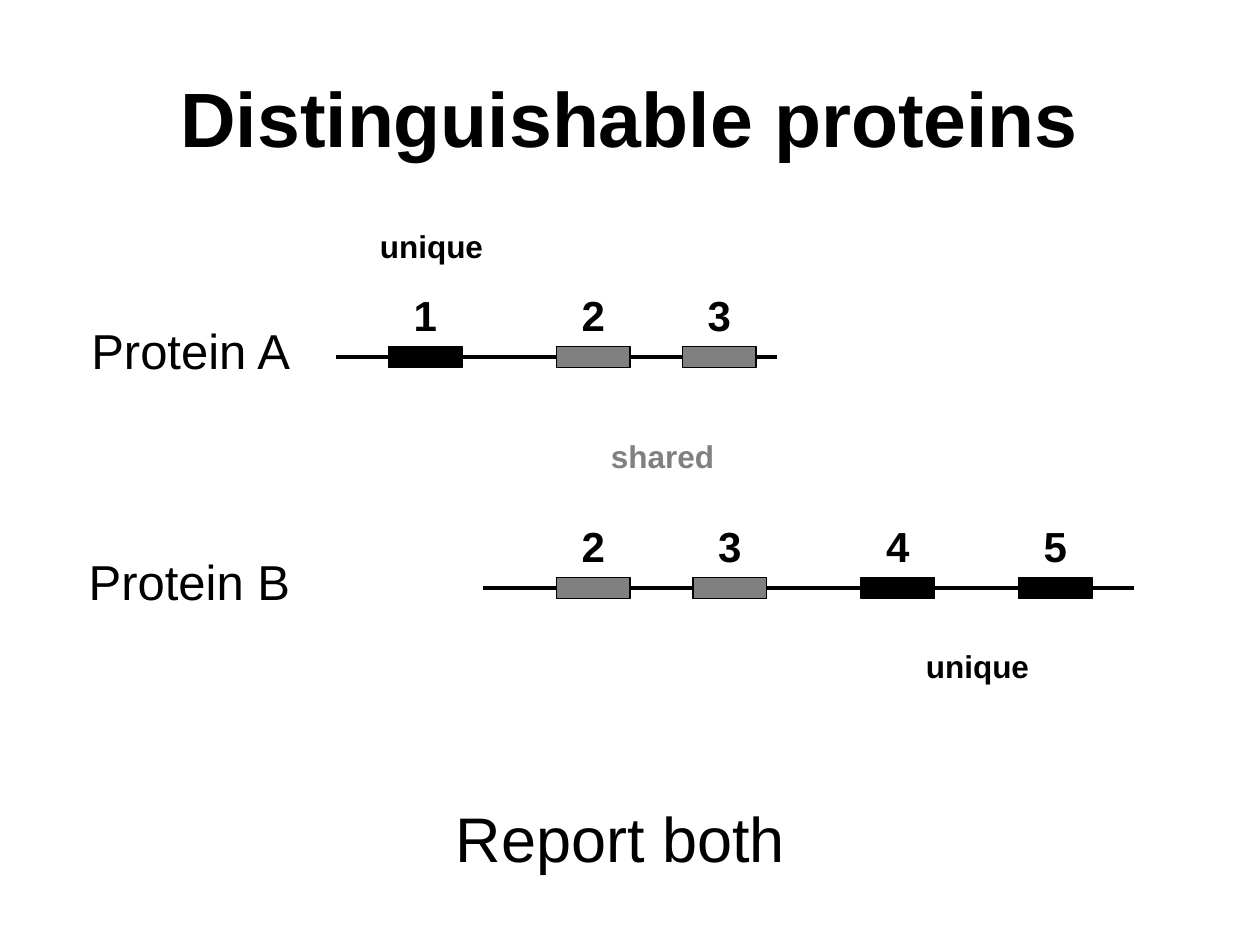
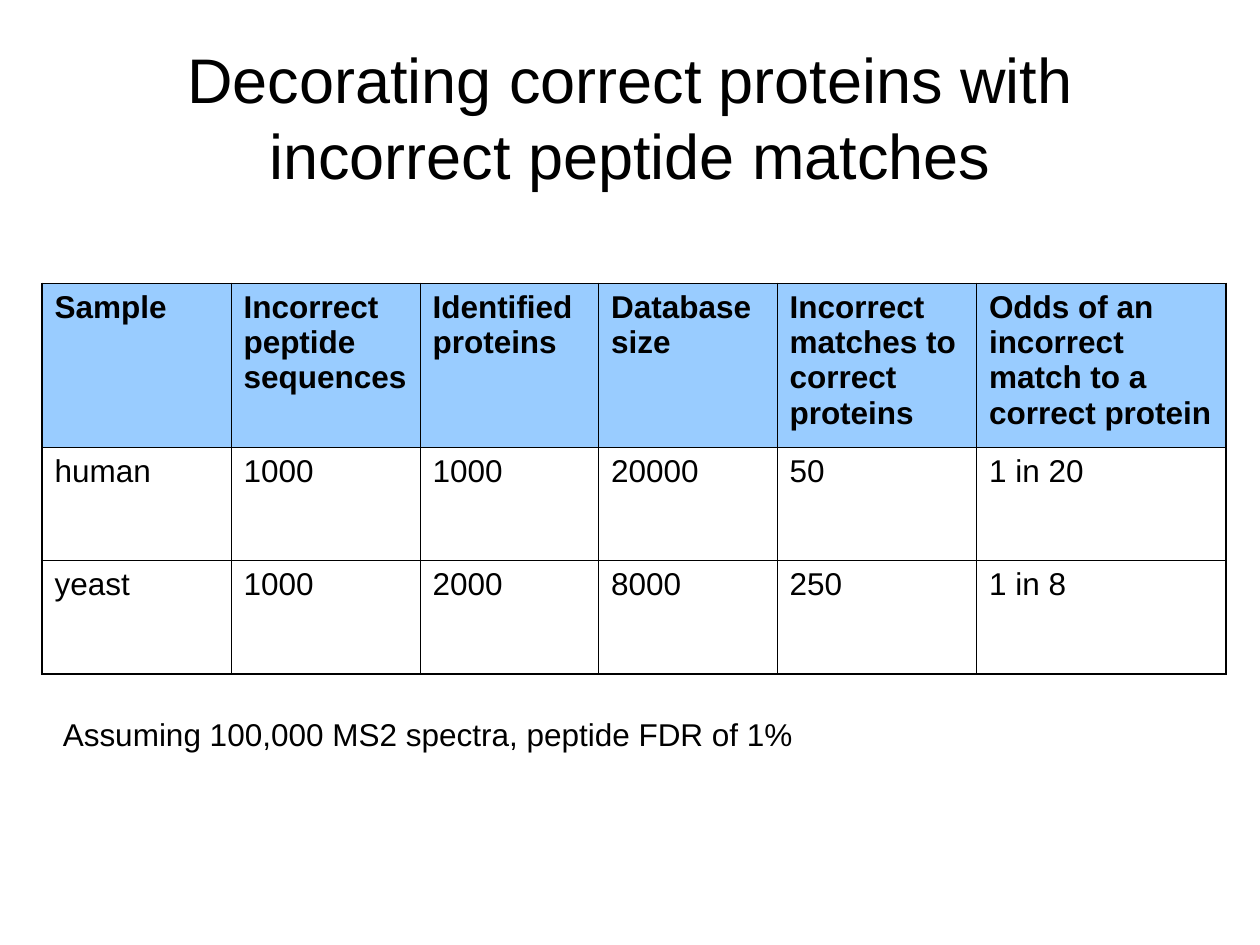
from dataclasses import dataclass
from lxml import etree
from pptx import Presentation, util as u
from pptx.dml.color import RGBColor
from pptx.enum import shapes, text
from pptx.oxml import ns


@dataclass(frozen=True)
class Theme:
    font: str = "Arial"
    ink: str = "000000"
    grey: str = "808080"
    header: str = "99CCFF"
    strong_title: int = 44
    title: int = 36
    label: int = 28
    number: int = 24
    small: int = 18
    axis: float = 2.25
    outline: float = 1
    frame: float = 1.08
    rule: float = 0.45


T = Theme()
ALIGN = text.PP_ALIGN
COLS, ROWS = 120, 90  # grid over the 10 x 7.5 inch slide
BLOCK_W, BLOCK_H = 7, 2


def grid(n):
    return u.Emu(round(n * u.Inches(10) / COLS))


def rgb(value):
    return RGBColor.from_string(value)


def style(p, size, color=T.ink, bold=False):
    for r in p.runs:
        r.font.name = T.font
        r.font.size = u.Pt(size)
        r.font.bold = bold
        r.font.color.rgb = rgb(color)


# Text
def add_text(s, words, box, size, align=ALIGN.CENTER, color=T.ink,
             bold=False, wrap=False):
    tf = s.shapes.add_textbox(*map(grid, box)).text_frame
    tf.word_wrap = wrap
    tf.text = words
    p = tf.paragraphs[0]
    p.alignment = align
    style(p, size, color, bold)
    return tf


def add_title(s, words, size=T.title, bold=False):
    tf = add_text(s, words, (6, 3.6, COLS - 12, 15), size, bold=bold, wrap=True)
    tf.vertical_anchor = text.MSO_ANCHOR.MIDDLE


def add_tag(s, words, col, row, color=T.ink):
    add_text(s, words, (col, row, 12.2, 4.8), T.small, color=color, bold=True)


# Protein: name, sequence line and numbered peptide blocks
def add_sequence(s, start, end, row):
    line = s.shapes.add_connector(shapes.MSO_CONNECTOR.STRAIGHT,
                                  *map(grid, (start, row, end, row)))
    line.line.color.rgb = rgb(T.ink)
    line.line.width = u.Pt(T.axis)
    etree.SubElement(line._element.spPr, ns.qn("a:effectLst"))


def add_peptide(s, number, col, row, color):
    sp = s.shapes.add_shape(shapes.MSO_SHAPE.RECTANGLE,
                            *map(grid, (col, row - BLOCK_H / 2, BLOCK_W, BLOCK_H)))
    sp.shadow.inherit = False
    sp.fill.solid()
    sp.fill.fore_color.rgb = rgb(color)
    sp.line.color.rgb = rgb(T.ink)
    sp.line.width = u.Pt(T.outline)
    add_text(s, str(number), (col, row - 7, BLOCK_W, 6), T.number, bold=True)


def add_protein(s, name, row, start, end, peptides):
    add_text(s, name, (4.8, row - 4.1, 24, 6.8), T.label, ALIGN.RIGHT)
    add_sequence(s, start, end, row)
    for number, col, color in peptides:
        add_peptide(s, number, col, row, color)


# Table
def set_borders(cell, widths):
    tc_pr = cell._tc.get_or_add_tcPr()
    for i, (side, width) in enumerate(widths.items()):
        ln = etree.Element(ns.qn(f"a:ln{side}"), w=str(u.Pt(width)))
        fill = etree.SubElement(ln, ns.qn("a:solidFill"))
        etree.SubElement(fill, ns.qn("a:srgbClr"), val=T.ink)
        tc_pr.insert(i, ln)


def add_grid_table(s, data, left, top, widths, heights):
    table = s.shapes.add_table(len(data), len(widths), *map(
        grid, (left, top, sum(widths), sum(heights)))).table
    table.first_row = table.horz_banding = False
    for column, width in zip(table.columns, widths):
        column.width = grid(width)
    for row, height in zip(table.rows, heights):
        row.height = grid(height)
    last_row, last_col = len(data) - 1, len(widths) - 1
    for i, values in enumerate(data):
        for j, value in enumerate(values):
            cell = table.cell(i, j)
            cell.text = value
            style(cell.text_frame.paragraphs[0], T.small, bold=i == 0)
            if i == 0:
                cell.fill.solid()
                cell.fill.fore_color.rgb = rgb(T.header)
            else:
                cell.fill.background()
            on_frame = {"L": j == 0, "R": j == last_col,
                        "T": i == 0, "B": i == last_row}
            set_borders(cell, {side: T.frame if outer else T.rule
                               for side, outer in on_frame.items()})


# Slides
def distinguishable_proteins(s):
    add_title(s, "Distinguishable proteins", T.strong_title, bold=True)
    add_protein(s, "Protein A", 34, 32, 74,
                [(1, 37, T.ink), (2, 53, T.grey), (3, 65, T.grey)])
    add_protein(s, "Protein B", 56, 46, 108,
                [(2, 53, T.grey), (3, 66, T.grey), (4, 82, T.ink), (5, 97, T.ink)])
    add_tag(s, "unique", 35, 21)
    add_tag(s, "shared", 57, 41, T.grey)
    add_tag(s, "unique", 87, 61)
    add_text(s, "Report both", (40.1, 75.6, 38, 8.4), T.title)


def incorrect_matches(s):
    add_title(s, "Decorating correct proteins with incorrect peptide matches")
    data = [
        ("Sample", "Incorrect peptide sequences", "Identified proteins",
         "Database size", "Incorrect matches to correct proteins",
         "Odds of an incorrect match to a correct protein"),
        ("human", "1000", "1000", "20000", "50", "1 in 20"),
        ("yeast", "1000", "2000", "8000", "250", "1 in 8"),
    ]
    add_grid_table(s, data, 4, 27, (18, 18, 17, 17, 19, 23.8), (15.6, 10.8, 10.8))
    add_text(s, "Assuming 100,000 MS2 spectra, peptide FDR of 1%",
             (4.8, 67.5, 76, 4.8), T.small, ALIGN.LEFT, wrap=True)


def main():
    prs = Presentation()
    prs.slide_width, prs.slide_height = grid(COLS), grid(ROWS)
    for build in (distinguishable_proteins, incorrect_matches):
        build(prs.slides.add_slide(prs.slide_layouts[6]))
    prs.save("out.pptx")


if __name__ == "__main__":
    main()
